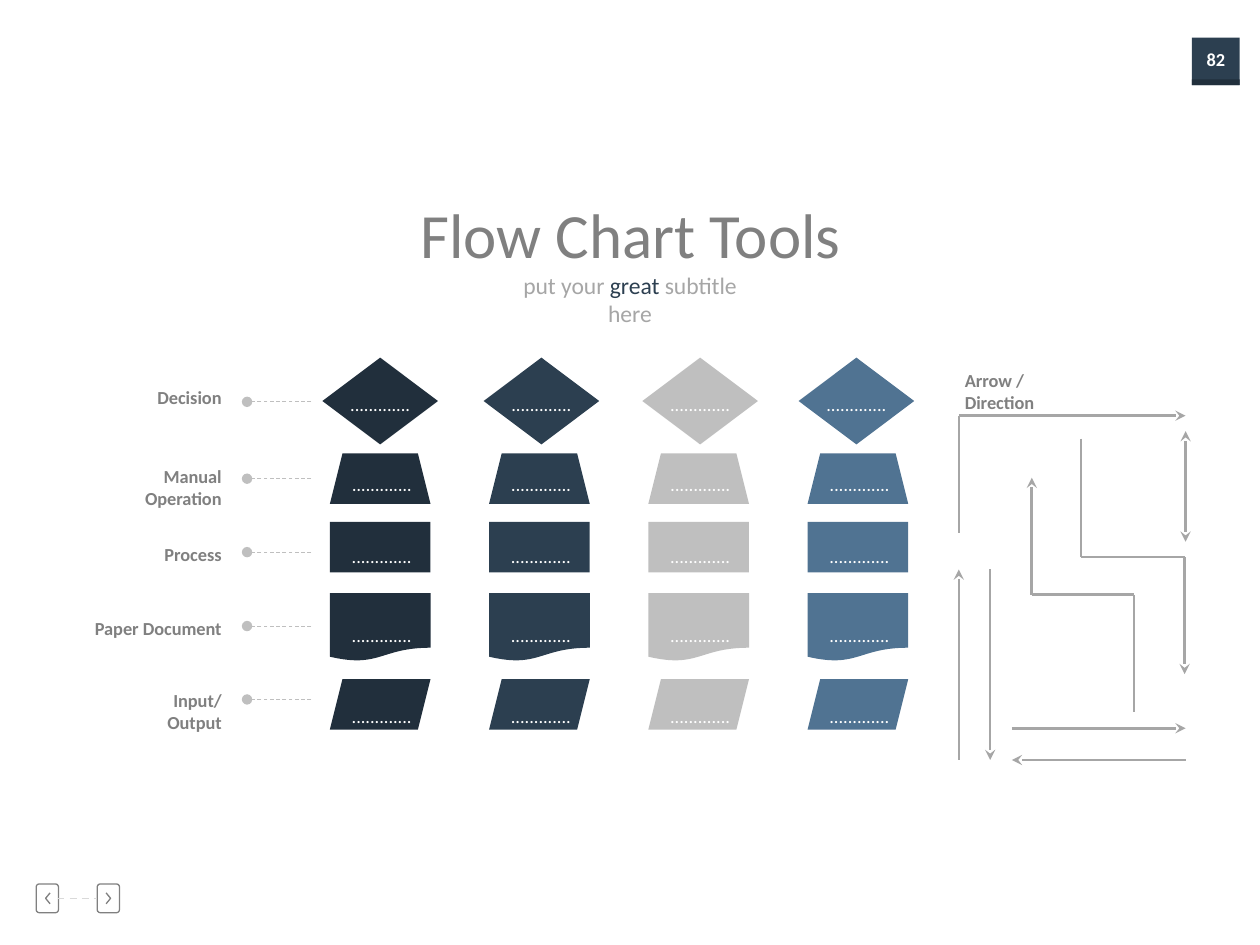
from itertools import pairwise
from lxml.etree import SubElement
from pptx import Presentation
from pptx.dml.color import RGBColor
from pptx.enum.dml import MSO_LINE as Dash
from pptx.enum.shapes import MSO_CONNECTOR as Link, MSO_SHAPE as Kind
from pptx.enum.text import PP_ALIGN as Align
from pptx.oxml.ns import qn
from pptx.util import Cm, Pt

NAVY, INK, BLUE = "2C3F50", "212F3C", "507392"
GREY, MID, PALE = "808080", "A6A6A6", "BFBFBF"
WHITE = "FFFFFF"
DOTS = "............."

COLS = [(INK, 6.5), (NAVY, 9.75), (PALE, 12.95), (BLUE, 16.1)]
LEFT, STEP = 6.65, 3.21

ROWS = [
    # label, label top, label width, wrap, guide y, kind, top, height, dots top
    ("Decision", 7.67, 1.8, False, 8.1, Kind.DIAMOND, 7.21, 1.75, 7.8),
    ("Manual Operation", 9.25, 3.25, True, 9.65, Kind.TRAPEZOID, 9.14, 1.02, 9.65),
    ("Process", 10.82, 1.7, False, 11.13, Kind.RECTANGLE, 10.52, 1.02, 10.87),
    ("Paper Document", 12.32, 3.1, False, 12.62, Kind.FLOWCHART_DOCUMENT, 11.96, 1.37, 12.45),
    ("Input/Output", 13.77, 2.54, True, 14.1, Kind.PARALLELOGRAM, 13.69, 1.02, 14.1),
]

ROUTES = [
    [(19.33, 10.74), (19.33, 8.38), (23.9, 8.38)],
    [(21.79, 8.84), (21.79, 11.23), (23.88, 11.23), (23.88, 13.59)],
    [(22.86, 14.35), (22.86, 11.99), (20.8, 11.99), (20.8, 9.63)],
    [(19.33, 15.32), (19.33, 11.48)],
    [(23.9, 15.32), (20.4, 15.32)],
    [(20.4, 14.68), (23.9, 14.68)],
    [(19.96, 11.48), (19.96, 15.32)],
]


def paint(part, hue):
    """Give a fill, line or font a solid colour."""
    if hasattr(part, "solid"):
        part.solid()
        part.fore_color.rgb = RGBColor.from_string(hue)
    else:
        part.color.rgb = RGBColor.from_string(hue)


def add_box(slide, kind, x, y, w, h, hue):
    """Add a filled shape without outline."""
    box = slide.shapes.add_shape(kind, Cm(x), Cm(y), Cm(w), Cm(h))
    box.shadow.inherit = False
    paint(box.fill, hue)
    box.line.fill.background()
    return box


def add_text(slide, runs, x, y, w, h=0.71, size=10.5, bold=False,
             align=Align.CENTER, wrap=False, pad=0.25):
    """Add a one-paragraph text box from (text, colour) runs."""
    box = slide.shapes.add_textbox(Cm(x), Cm(y), Cm(w), Cm(h))
    frame = box.text_frame
    frame.word_wrap = wrap
    frame.margin_left = frame.margin_right = Cm(pad)
    para = frame.paragraphs[0]
    para.alignment = align
    para.font.name, para.font.size, para.font.bold = "Calibri", Pt(size), bold
    for text, hue in runs:
        run = para.add_run()
        run.text = text
        paint(run.font, hue)
    return box


def add_line(slide, start, end, hue, width, dash=None, head=None, tail=None):
    """Add a straight connector with optional end marks."""
    line = slide.shapes.add_connector(Link.STRAIGHT, *map(Cm, start + end))
    paint(line.line, hue)
    line.line.width = Pt(width)
    if dash:
        line.line.dash_style = dash
    for tag, mark in (("a:headEnd", head), ("a:tailEnd", tail)):
        if mark:
            SubElement(line.line._get_or_add_ln(), qn(tag), type=mark)
    SubElement(line._element.spPr, qn("a:effectLst"))


def add_route(slide, points):
    """Add a chain of connectors that ends in an arrowhead."""
    pairs = list(pairwise(points))
    for start, end in pairs:
        tail = "stealth" if end == points[-1] else None
        add_line(slide, start, end, MID, 1.5, tail=tail)


def add_key(slide, x, tip, back):
    """Add a rounded key with a chevron pointing at tip."""
    key = add_box(slide, Kind.ROUNDED_RECTANGLE, x, 17.82, 0.45, 0.58, WHITE)
    key.adjustments[0] = 0.14
    key.fill.background()
    pen = slide.shapes.build_freeform(Cm(back), Cm(18))
    pen.add_line_segments([(Cm(tip), Cm(18.11)), (Cm(back), Cm(18.22))], close=False)
    mark = pen.convert_to_shape()
    mark.shadow.inherit = False
    mark.fill.background()
    for shape in (key, mark):
        paint(shape.line, GREY)
        shape.line.width = Pt(0.75)


def add_frame(slide):
    """Add the page number and the navigation keys."""
    add_box(slide, Kind.RECTANGLE, 24.03, 0.76, 0.96, 0.96, NAVY)
    add_box(slide, Kind.RECTANGLE, 24.03, 1.6, 0.96, 0.12, INK)
    add_text(slide, [("82", WHITE)], 24.03, 0.84, 0.96, bold=True)
    add_key(slide, 0.73, 0.92, 1.01)
    add_key(slide, 1.96, 2.23, 2.14)
    add_line(slide, (1.16, 18.11), (1.96, 18.11), "D9D9D9", 1, Dash.DASH)


def add_row(slide, label, y, w, wrap, mid, kind, top, h, low):
    """Add a label, its guide line and one symbol per column."""
    add_text(slide, [(label, GREY)], 4.72 - w, y, w, bold=True,
             align=Align.RIGHT, wrap=wrap)
    add_line(slide, (6.27, mid), (4.98, mid), PALE, 0.5, Dash.DASH, tail="oval")
    for i, (hue, side) in enumerate(COLS):
        x, w, gap = LEFT + i * STEP, 2.03, 0.18
        if kind == Kind.DIAMOND:
            x, w, gap = side, 2.33, 0.3
        add_box(slide, kind, x, top, w, h, hue)
        dots = add_text(slide, [(DOTS, WHITE)], x + gap, low, 1.73)
        if kind == Kind.TRAPEZOID:
            dots.rotation = 180


def main():
    """Build the slide and save it."""
    deck = Presentation()
    deck.slide_width, deck.slide_height = Cm(25.4), Cm(19.05)
    slide = deck.slides.add_slide(deck.slide_layouts[6])
    add_frame(slide)
    add_text(slide, [("put your ", MID), ("great", NAVY), (" subtitle here", MID)],
             9.8, 5.33, 5.8, 0.84, 13.5, wrap=True, pad=0.4)
    add_text(slide, [("Flow Chart Tools", GREY)], 8.1, 3.81, 9.22, 1.8, 36)
    for row in ROWS:
        add_row(slide, *row)
    for route in ROUTES:
        add_route(slide, route)
    add_line(slide, (23.9, 10.92), (23.9, 8.69), MID, 1.5, head="stealth", tail="stealth")
    add_text(slide, [("Arrow / Direction", GREY)], 19.2, 7.32, 3.07, bold=True,
             align=Align.LEFT, wrap=True)
    deck.save("out.pptx")


if __name__ == "__main__":
    main()
